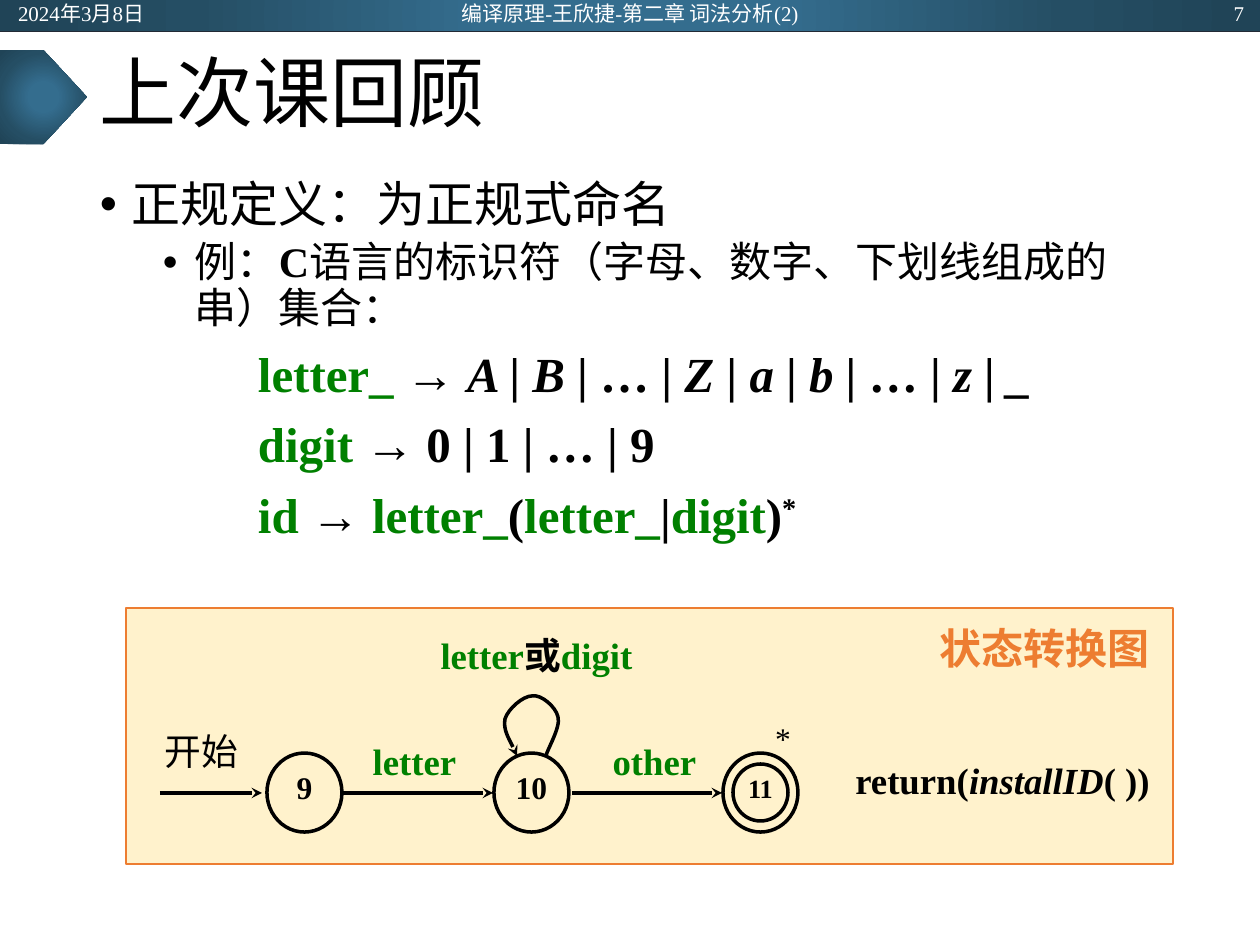
from lxml.etree import SubElement
from pptx import Presentation
from pptx.dml.color import RGBColor
from pptx.enum.shapes import MSO_CONNECTOR as Connector, MSO_SHAPE as Shape
from pptx.enum.text import MSO_ANCHOR as Anchor, PP_ALIGN as Align
from pptx.oxml import parse_xml
from pptx.oxml.ns import nsdecls, qn
from pptx.util import Emu, Pt

SCALE = 914400 / 126
FONT = "Times New Roman"
COLORS = {
    "black": "000000", "white": "FFFFFF", "green": "008000",
    "orange": "ED7D31", "cream": "FFF2CC", "rule": "222A35",
}
GRADIENT = [(0, "346D8E"), (23, "346D8E"), (69, "254E64"), (97, "204457")]
DEFAULT_INSETS = (13, 6, 13, 6)
LABEL_INSETS = (5, 3, 5, 3)
AXIS = 793


def px(length):
    return Emu(round(length * SCALE))


def color(name):
    return RGBColor.from_string(COLORS[name])


def set_line(line, name, width):
    line.color.rgb = color(name)
    line.width = Pt(width)


def add_arrowhead(line):
    SubElement(line._get_or_add_ln(), qn("a:tailEnd"), type="stealth")


def add_preset(slide, kind, box, fill=None, line=None, width=1):
    shape = slide.shapes.add_shape(kind, *map(px, box))
    shape.shadow.inherit = False
    if fill:
        shape.fill.solid()
        shape.fill.fore_color.rgb = color(fill)
    else:
        shape.fill.background()
    if line:
        set_line(shape.line, line, width)
    else:
        shape.line.fill.background()
    return shape


def add_gradient_shape(slide, kind, box):
    """Add a preset shape filled from its centre outwards."""
    shape = add_preset(slide, kind, box)
    stops = "".join(
        f'<a:gs pos="{position * 1000}"><a:srgbClr val="{value}"/></a:gs>'
        for position, value in GRADIENT)
    gradient = parse_xml(
        f'<a:gradFill {nsdecls("a")} rotWithShape="1"><a:gsLst>{stops}</a:gsLst>'
        '<a:path path="circle"><a:fillToRect l="50000" t="50000" r="50000" b="50000"/>'
        '</a:path></a:gradFill>')
    properties = shape._element.spPr
    properties.replace(properties.find(qn("a:noFill")), gradient)


def add_line(slide, start, end, name="black", width=2, arrow=True):
    line = slide.shapes.add_connector(Connector.STRAIGHT, *map(px, start + end))
    set_line(line.line, name, width)
    if arrow:
        add_arrowhead(line.line)
    SubElement(line._element.spPr, qn("a:effectLst"))


def set_frame(frame, insets, anchor=Anchor.TOP, wrap=True):
    frame.word_wrap = wrap
    frame.vertical_anchor = anchor
    (frame.margin_left, frame.margin_top,
     frame.margin_right, frame.margin_bottom) = map(px, insets)


def write(paragraph, runs, size, name="black", bold=None, align=Align.LEFT):
    """Fill a paragraph; a run is text, or text with the font values it changes."""
    paragraph.alignment = align
    font = paragraph.font
    font.name, font.size, font.bold = FONT, Pt(size), bold
    font.color.rgb = color(name)
    for item in [runs] if isinstance(runs, str) else runs:
        text, changes = (item, {}) if isinstance(item, str) else item
        run = paragraph.add_run()
        run.text = text
        if "color" in changes:
            run.font.color.rgb = color(changes["color"])
        if "bold" in changes:
            run.font.bold = changes["bold"]
        if "italic" in changes:
            run.font.italic = changes["italic"]
        if "raised" in changes:
            run._r.get_or_add_rPr().set("baseline", "30000")


def add_text(slide, box, runs, size, insets=DEFAULT_INSETS, anchor=Anchor.TOP,
             wrap=True, **style):
    frame = slide.shapes.add_textbox(*map(px, box)).text_frame
    set_frame(frame, insets, anchor, wrap)
    write(frame.paragraphs[0], runs, size, **style)
    return frame


def add_label(slide, box, runs, size=21, **style):
    add_text(slide, box, runs, size, LABEL_INSETS, align=Align.CENTER, **style)


def set_indent(paragraph, left, hanging=0, bullet=False):
    properties = paragraph._p.get_or_add_pPr()
    properties.set("marL", str(px(left)))
    properties.set("indent", str(-px(hanging)))
    if bullet:
        SubElement(properties, qn("a:buFont"), typeface="Arial")
        SubElement(properties, qn("a:buChar"), char="•")
    else:
        SubElement(properties, qn("a:buNone"))


def add_body(slide):
    green, italic = {"color": "green"}, {"italic": True}
    definitions = [
        [("letter_ ", green), "→ ", ("A ", italic), "| ", ("B", italic), " | … | ",
         ("Z ", italic), "| ", ("a ", italic), "| ", ("b | ", italic), "… | ",
         ("z | _", italic)],
        [("digit ", green), "→ 0 | 1 | … | 9"],
        [("id ", green), "→ ", ("letter_", green), "(", ("letter_", green), "|",
         ("digit", green), ")", ("*", {"raised": True})],
    ]
    example = ["例：", ("C", {"bold": True}),
               "语言的标识符（字母、数字、下划线组成的串）集合："]
    frame = slide.shapes.add_textbox(*map(px, (87, 174, 1086, 678))).text_frame
    set_frame(frame, DEFAULT_INSETS)

    heading = frame.paragraphs[0]
    set_indent(heading, 32, 32, bullet=True)
    write(heading, "正规定义：为正规式命名", 28)
    detail = frame.add_paragraph()
    set_indent(detail, 95, 32, bullet=True)
    detail.space_before = Pt(5)
    write(detail, example, 24)
    for definition in definitions:
        paragraph = frame.add_paragraph()
        set_indent(paragraph, 158)
        paragraph.space_before = Pt(10)
        write(paragraph, definition, 28, bold=True)
    for paragraph in frame.paragraphs:
        paragraph.line_spacing = 0.9


def add_state(slide, box, number="", size=18, insets=LABEL_INSETS):
    state = add_preset(slide, Shape.OVAL, box, line="black", width=2)
    set_frame(state.text_frame, insets)
    if number:
        write(state.text_frame.paragraphs[0], number, size, bold=True, align=Align.CENTER)


def add_loop(slide):
    """Draw the curved arrow from state 10 back to itself."""
    builder = slide.shapes.build_freeform(546, 756, scale=SCALE)
    builder.add_line_segments([
        (547, 750), (561, 727), (558, 717),
        (556, 707), (541, 694), (532, 696),
        (523, 696), (508, 709), (505, 719),
        (503, 730), (514, 748), (517, 756)], close=False)
    loop = builder.convert_to_shape()
    loop.shadow.inherit = False
    loop.fill.background()
    set_line(loop.line, "black", 2)
    add_arrowhead(loop.line)
    segments = list(loop._element.iter(qn("a:lnTo")))
    for first in range(0, len(segments), 3):
        curve = SubElement(segments[first].getparent(), qn("a:cubicBezTo"))
        for segment in segments[first:first + 3]:
            curve.append(segment[0])
            segment.getparent().remove(segment)


def add_header(slide):
    add_gradient_shape(slide, Shape.RECTANGLE, (0, 0, 1260, 31))
    add_line(slide, (0, 31), (1260, 31), "rule", 0.5, arrow=False)
    for left, width, text, align in (
            (5, 284, "2024年3月8日", Align.LEFT),
            (417, 426, "编译原理-王欣捷-第二章 词法分析(2)", Align.CENTER),
            (973, 284, "7", Align.RIGHT)):
        add_text(slide, (left, 1, width, 25), text, 12, anchor=Anchor.MIDDLE,
                 name="white", align=align)


def add_diagram(slide):
    add_preset(slide, Shape.RECTANGLE, (126, 608, 1047, 256), "cream", "orange")
    for left, number in ((267, "9"), (494, "10"), (723, "")):
        add_state(slide, (left, 753, 75, 79), number)
    add_state(slide, (733, 764, 55, 57), "11", 15, (1, 0, 1, 0))
    for start, end in ((160, 262), (343, 493), (572, 722)):
        add_line(slide, (start, AXIS), (end, AXIS))
    add_loop(slide)

    add_label(slide, (141, 726, 121, 59), "开始")
    add_label(slide, (352, 736, 125, 57), "letter", name="green", bold=True)
    add_label(slide, (592, 736, 125, 57), "other", name="green", bold=True)
    add_label(slide, (764, 716, 38, 39), "*", 18)
    add_label(slide, (384, 630, 305, 74),
              ["letter", ("或", {"color": "black"}), "digit"], name="green", bold=True)
    add_label(slide, (811, 755, 383, 58),
              ["return(", ("installID", {"italic": True}), "( ))"], bold=True)
    add_text(slide, (927, 617, 237, 63), "状态转换图", 24, wrap=False,
             name="orange", bold=True)


def main():
    presentation = Presentation()
    presentation.slide_width, presentation.slide_height = px(1260), px(945)
    slide = presentation.slides.add_slide(presentation.slide_layouts[6])
    add_header(slide)
    add_gradient_shape(slide, Shape.PENTAGON, (0, 50, 87, 94))
    title = add_text(slide, (87, 31, 1086, 131), "上次课回顾", 44, anchor=Anchor.MIDDLE)
    title.paragraphs[0].line_spacing = 0.9
    add_body(slide)
    add_diagram(slide)
    presentation.save("out.pptx")


if __name__ == "__main__":
    main()
